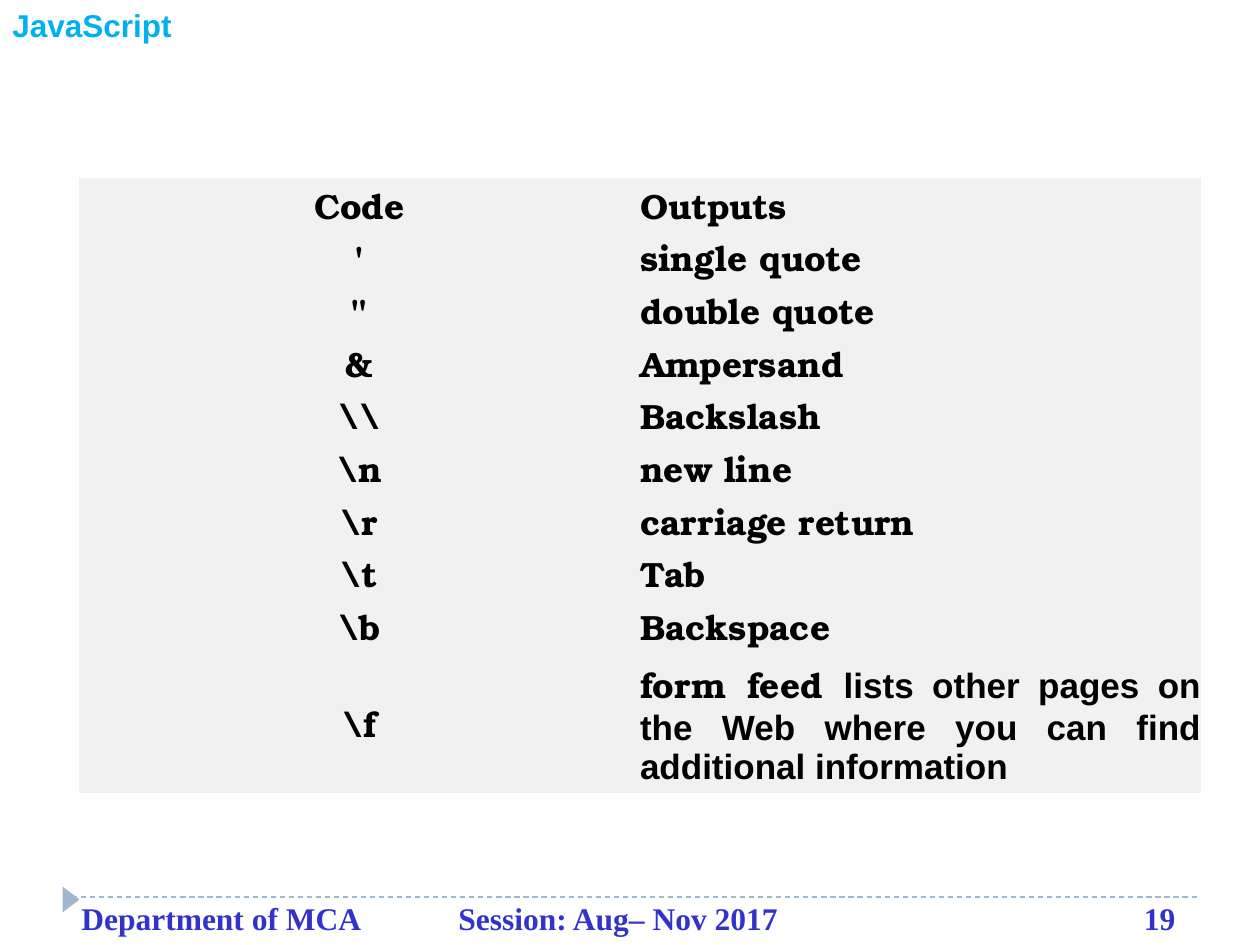
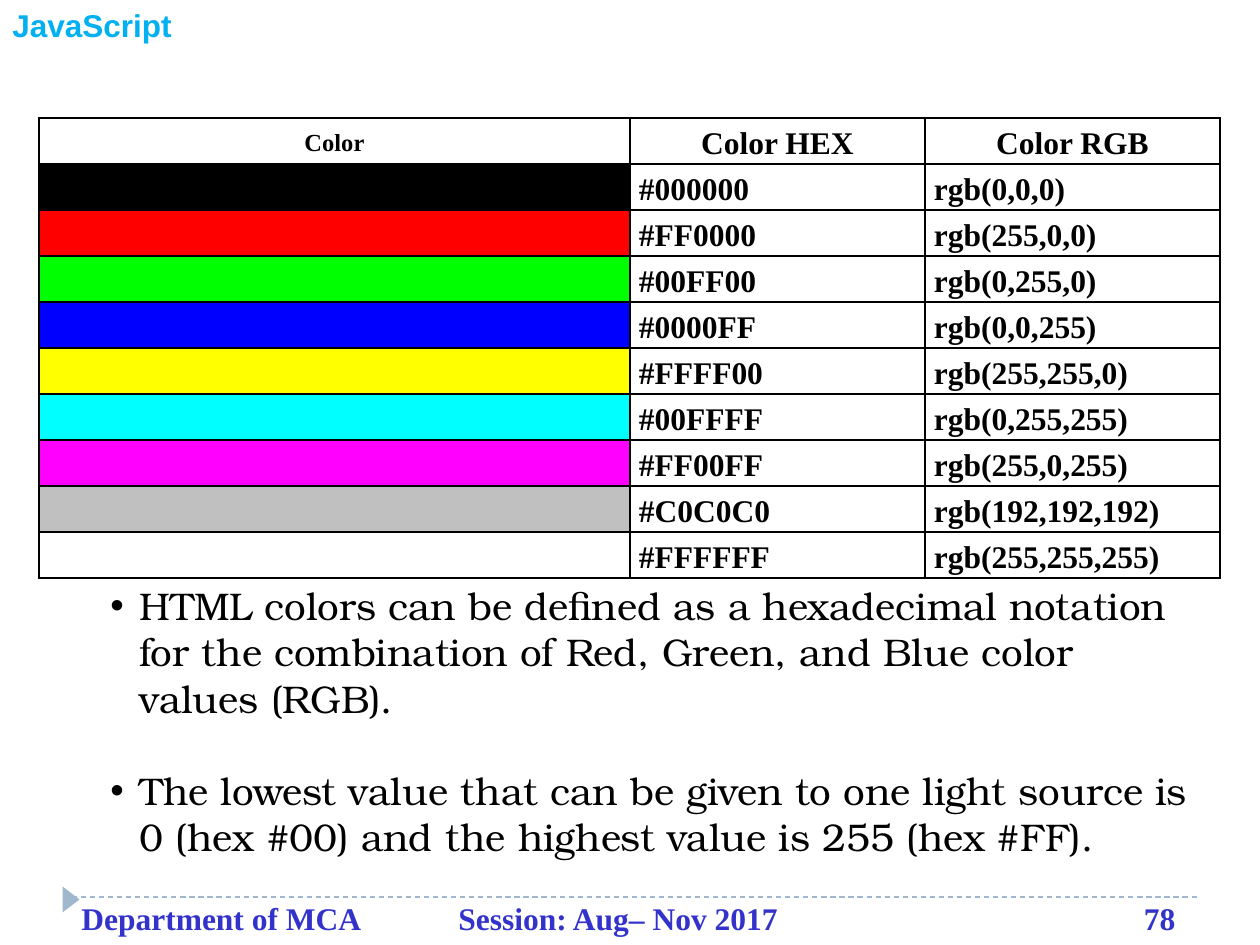
"""Build two JavaScript lecture slides: escape codes and HTML colour values."""
from dataclasses import dataclass

from lxml import etree
from pptx import Presentation
from pptx import util as u
from pptx.dml.color import RGBColor
from pptx.enum import dml, shapes, text
from pptx.oxml.ns import qn


@dataclass(frozen=True)
class Style:
    font: str
    size: int
    color: str = "000000"
    bold: bool = True


@dataclass(frozen=True)
class Theme:
    rule: str = "9FB8CD"
    panel: str = "F1F1F1"
    white: str = "FFFFFF"
    grid: str = "000000"
    topic: Style = Style("Arial", 18, "00B0F0")
    footer: Style = Style("Times New Roman", 18, "3333CC")
    code: Style = Style("TeX Gyre Bonum", 20)
    remark: Style = Style("Arial", 20)
    small_head: Style = Style("Times New Roman", 14)
    value: Style = Style("Times New Roman", 18)
    note: Style = Style("TeX Gyre Bonum", 22, bold=False)


THEME = Theme()
ALIGN = text.PP_ALIGN

ESCAPES = [
    ("Code", "Outputs"),
    ("'", "single quote"),
    ('"', "double quote"),
    ("&", "Ampersand"),
    ("\\\\", "Backslash"),
    ("\\n", "new line"),
    ("\\r", "carriage return"),
    ("\\t", "Tab"),
    ("\\b", "Backspace"),
    ("\\f", "form feed "),
]
FORM_FEED_REMARK = "lists other pages on the Web where you can find additional information"
SWATCHES = ["000000", "FF0000", "00FF00", "0000FF", "FFFF00",
            "00FFFF", "FF00FF", "C0C0C0", "FFFFFF"]
COLOR_NOTES = [
    "HTML colors can be defined as a hexadecimal notation for the combination "
    "of Red, Green, and Blue color values (RGB).",
    "The lowest value that can be given to one light source is 0 (hex #00) "
    "and the highest value is 255 (hex #FF).",
]


def px(length):
    return u.Emu(round(length * 914400 / 126))


def rgb(color):
    return RGBColor.from_string(color)


def style_run(run, style):
    run.font.name = style.font
    run.font.size = u.Pt(style.size)
    run.font.bold = style.bold
    run.font.color.rgb = rgb(style.color)


def write(paragraph, words, style, align=ALIGN.LEFT):
    paragraph.text = words
    paragraph.alignment = align
    for run in paragraph.runs:
        style_run(run, style)


def add_text_frame(slide, left, top, width, height):
    frame = slide.shapes.add_textbox(px(left), px(top), px(width), px(height)).text_frame
    frame.word_wrap = True
    return frame


def add_tabs(paragraph, stops):
    tabs = etree.SubElement(paragraph._p.get_or_add_pPr(), qn("a:tabLst"))
    for position, align in stops:
        etree.SubElement(tabs, qn("a:tab"), pos=str(px(position)), algn=align)


def add_bullet(paragraph, indent):
    properties = paragraph._p.get_or_add_pPr()
    properties.set("marL", str(px(indent)))
    properties.set("indent", str(-px(indent)))
    etree.SubElement(properties, qn("a:buFont"), typeface="Arial")
    etree.SubElement(properties, qn("a:buChar"), char="•")


def add_frame(slide, page):
    rule = slide.shapes.add_connector(
        shapes.MSO_CONNECTOR.STRAIGHT, px(63), px(897), px(1197), px(897))
    rule.line.color.rgb = rgb(THEME.rule)
    rule.line.width = u.Pt(0.75)
    rule.line.dash_style = dml.MSO_LINE.DASH
    etree.SubElement(rule._element.spPr, qn("a:effectLst"))

    marker = slide.shapes.add_shape(
        shapes.MSO_SHAPE.ISOSCELES_TRIANGLE, px(58), px(891), px(26), px(17))
    marker.rotation = 90
    marker.shadow.inherit = False
    marker.fill.solid()
    marker.fill.fore_color.rgb = rgb(THEME.rule)
    marker.line.fill.background()

    topic = add_text_frame(slide, 0, 0, 186, 51)
    write(topic.paragraphs[0], "JavaScript", THEME.topic)

    footer = add_text_frame(slide, 69, 893, 1155, 51).paragraphs[0]
    add_tabs(footer, [(377, "l"), (1094, "r")])
    write(footer, f"Department of MCA\tSession: Aug– Nov 2017\t{page}", THEME.footer)


def add_grid(slide, left, top, widths, heights):
    table = slide.shapes.add_table(
        len(heights), len(widths), px(left), px(top),
        px(sum(widths)), px(sum(heights))).table
    table.first_row = table.horz_banding = False
    for column, width in zip(table.columns, widths):
        column.width = px(width)
    for row, height in zip(table.rows, heights):
        row.height = px(height)
    return table


def dress_cell(cell, fill, border=None, margin=0, margin_left=0):
    properties = cell._tc.get_or_add_tcPr()
    for side in ("a:lnL", "a:lnR", "a:lnT", "a:lnB"):
        edge = etree.SubElement(properties, qn(side), w=str(u.Pt(1)))
        if border:
            paint = etree.SubElement(edge, qn("a:solidFill"))
            etree.SubElement(paint, qn("a:srgbClr"), val=border)
        else:
            etree.SubElement(edge, qn("a:noFill"))
    cell.fill.solid()
    cell.fill.fore_color.rgb = rgb(fill)
    cell.vertical_anchor = text.MSO_ANCHOR.MIDDLE
    cell.margin_top = cell.margin_bottom = cell.margin_right = px(margin)
    cell.margin_left = px(margin_left)


def add_escape_table(slide):
    heights = [53, 52, 53] * 3 + [141]
    table = add_grid(slide, 79, 178, [561, 561], heights)
    for row, entry in enumerate(ESCAPES):
        for column, align in enumerate((ALIGN.CENTER, ALIGN.JUSTIFY)):
            cell = table.cell(row, column)
            dress_cell(cell, THEME.panel)
            write(cell.text_frame.paragraphs[0], entry[column], THEME.code, align)
    remark = table.cell(len(ESCAPES) - 1, 1).text_frame.paragraphs[0].add_run()
    remark.text = FORM_FEED_REMARK
    style_run(remark, THEME.remark)


def add_color_table(slide):
    table = add_grid(slide, 39, 118, [591, 295, 295], [46] * (len(SWATCHES) + 1))
    rows = [("Color", "Color HEX", "Color RGB")]
    for swatch in SWATCHES:
        channels = ",".join(str(channel) for channel in rgb(swatch))
        rows.append(("", f"#{swatch}", f"rgb({channels})"))
    for row, entry in enumerate(rows):
        for column, words in enumerate(entry):
            cell = table.cell(row, column)
            is_head, is_swatch = row == 0, row > 0 and column == 0
            fill = SWATCHES[row - 1] if is_swatch else THEME.white
            dress_cell(cell, fill, THEME.grid, 1, 1 if is_head else 9)
            if is_swatch:
                continue
            paragraph = cell.text_frame.paragraphs[0]
            write(paragraph, words,
                  THEME.small_head if is_head and column == 0 else THEME.value,
                  ALIGN.CENTER if is_head else ALIGN.LEFT)
            paragraph.line_spacing = 1.15


def add_color_notes(slide):
    frame = add_text_frame(slide, 98, 576, 1103, 335)
    for index, note in enumerate(COLOR_NOTES):
        paragraph = frame.add_paragraph() if index else frame.paragraphs[0]
        add_bullet(paragraph, 29)
        write(paragraph, note, THEME.note)
        if index:
            paragraph.space_before = px(46)


def main():
    deck = Presentation()
    deck.slide_width, deck.slide_height = px(1260), px(945)
    blank = deck.slide_layouts[6]

    escapes = deck.slides.add_slide(blank)
    add_frame(escapes, 19)
    add_escape_table(escapes)

    colors = deck.slides.add_slide(blank)
    add_frame(colors, 78)
    add_color_table(colors)
    add_color_notes(colors)

    deck.save("out.pptx")


if __name__ == "__main__":
    main()
